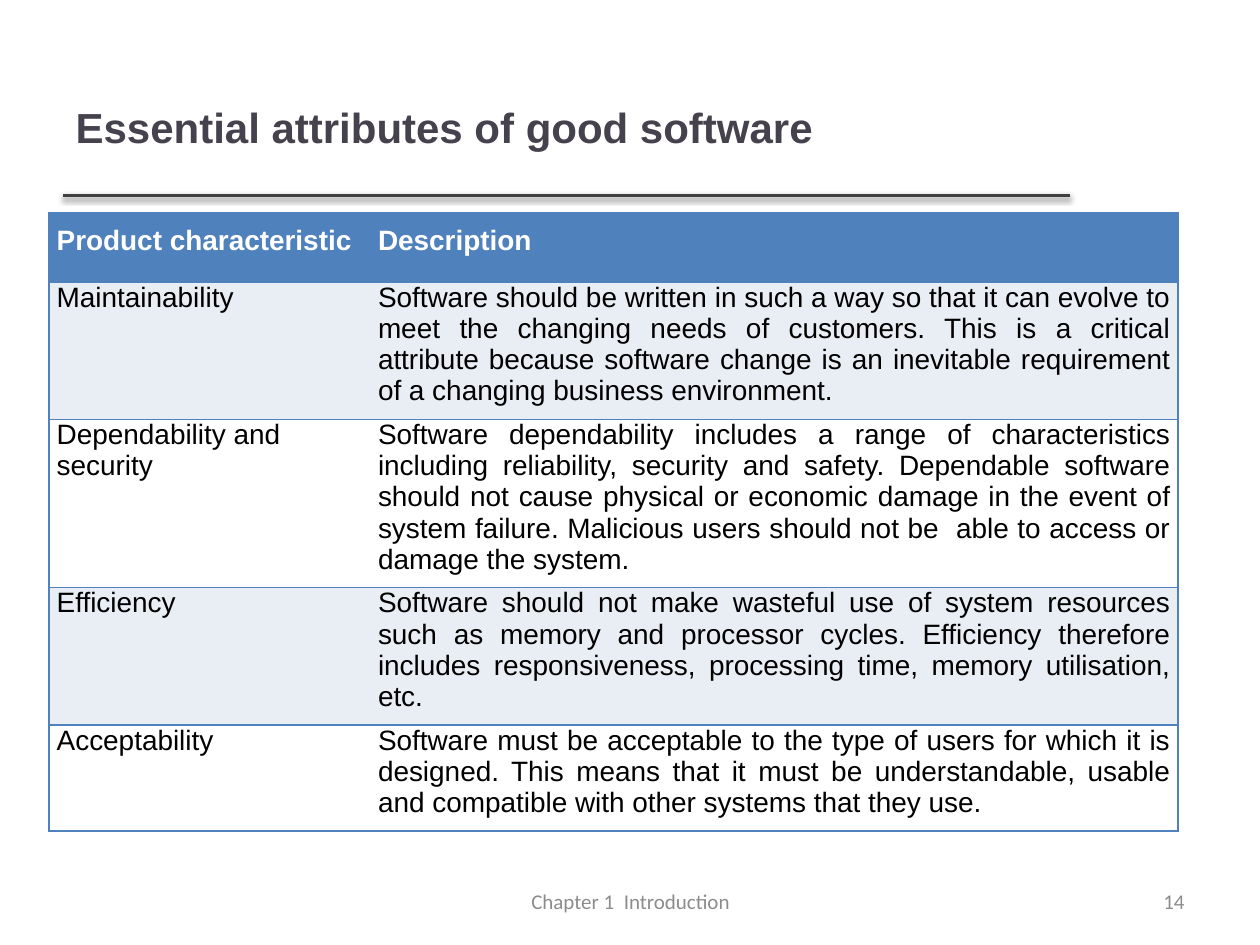
from pptx import Presentation
from pptx.dml.color import RGBColor
from pptx.enum.shapes import MSO_CONNECTOR
from pptx.enum.text import MSO_ANCHOR as Anchor, PP_ALIGN as Align
from pptx.oxml import parse_xml
from pptx.oxml.ns import nsdecls
from pptx.util import Inches, Pt

# Content
TITLE = "Essential attributes of good software"
FOOTER = "Chapter 1  Introduction"
PAGE_NUMBER = "14"
HEADER = ("Product characteristic", "Description")
ATTRIBUTES = [
    ("Maintainability",
     "Software should be written in such a way so that it can evolve to meet the "
     "changing needs of customers. This is a critical attribute because software "
     "change is an inevitable requirement of a changing business environment."),
    ("Dependability and security",
     "Software dependability includes a range of characteristics including "
     "reliability, security and safety. Dependable software should not cause "
     "physical or economic damage in the event of system failure. Malicious users "
     "should not be  able to access or damage the system."),
    ("Efficiency",
     "Software should not make wasteful use of system resources such as memory and "
     "processor cycles. Efficiency therefore includes responsiveness, processing "
     "time, memory utilisation, etc."),
    ("Acceptability",
     "Software must be acceptable to the type of users for which it is designed. "
     "This means that it must be understandable, usable and compatible with other "
     "systems that they use."),
]

# Theme and layout
THEME = {
    "title": {"name": "Arial", "size": Pt(24), "bold": True, "color": "46424D"},
    "header": {"name": "Arial", "size": Pt(16), "bold": True, "color": "FFFFFF"},
    "body": {"name": "Arial", "size": Pt(16), "bold": False, "color": "000000"},
    "footer": {"name": "Calibri", "size": Pt(12), "bold": False, "color": "8C8C8C"},
    "rule": "404040",
    "accent": "4F81BD",
    "bands": ("E9EDF4", "FFFFFF"),
}
TITLE_BOX = (0.5, 0.38, 7.98, 1.25)
RULE = (0.5, 1.55, 8.49, 1.55)
TABLE_LEFT, TABLE_TOP = 0.39, 1.69
COLUMN_WIDTHS = (2.55, 6.41)
ROW_HEIGHTS = (0.55, 1.09, 1.33, 1.09, 0.84)
FOOTER_BOXES = [
    (FOOTER, (3.42, 6.95, 3.17, 0.4), Align.CENTER),
    (PAGE_NUMBER, (7.17, 6.95, 2.33, 0.4), Align.RIGHT),
]


def inches(values):
    return [Inches(value) for value in values]


def write(text_frame, text, style, alignment):
    paragraph = text_frame.paragraphs[0]
    paragraph.text = text
    paragraph.alignment = alignment
    for name, value in THEME[style].items():
        if name == "color":
            paragraph.font.color.rgb = RGBColor.from_string(value)
        else:
            setattr(paragraph.font, name, value)


def set_borders(cell, hidden_side):
    properties = cell._tc.get_or_add_tcPr()
    for side in "LRTB":
        if side == hidden_side:
            paint = "<a:noFill/>"
        else:
            paint = f'<a:solidFill><a:srgbClr val="{THEME["accent"]}"/></a:solidFill>'
        properties.append(parse_xml(
            f'<a:ln{side} {nsdecls("a")} w="{Pt(1)}">{paint}</a:ln{side}>'))


presentation = Presentation()
presentation.slide_width, presentation.slide_height = Inches(10), Inches(7.5)
slide = presentation.slides.add_slide(presentation.slide_layouts[5])

# Title
title = slide.shapes.title
title.left, title.top, title.width, title.height = inches(TITLE_BOX)
title.text_frame.vertical_anchor = Anchor.MIDDLE
write(title.text_frame, TITLE, "title", Align.LEFT)

# Rule with a soft shadow
rule = slide.shapes.add_connector(MSO_CONNECTOR.STRAIGHT, *inches(RULE))
rule.line.color.rgb = RGBColor.from_string(THEME["rule"])
rule.line.width = Pt(2)
rule._element.spPr.append(parse_xml(
    f'<a:effectLst {nsdecls("a")}>'
    f'<a:outerShdw blurRad="{Pt(3.1)}" dist="{Pt(1.6)}" dir="5400000" rotWithShape="0">'
    '<a:srgbClr val="000000"><a:alpha val="38000"/></a:srgbClr>'
    '</a:outerShdw></a:effectLst>'))

# Attribute table
rows = [HEADER, *ATTRIBUTES]
table = slide.shapes.add_table(
    len(rows), len(HEADER),
    *inches((TABLE_LEFT, TABLE_TOP, sum(COLUMN_WIDTHS), sum(ROW_HEIGHTS)))).table
for column, width in zip(table.columns, COLUMN_WIDTHS):
    column.width = Inches(width)
for row, height in zip(table.rows, ROW_HEIGHTS):
    row.height = Inches(height)

for row_index, texts in enumerate(rows):
    is_header = row_index == 0
    fill = THEME["accent"] if is_header else THEME["bands"][(row_index - 1) % 2]
    for column_index, text in enumerate(texts):
        cell = table.cell(row_index, column_index)
        cell_format = {
            "margin_left": Inches(0.06), "margin_right": Inches(0.06),
            "margin_top": Inches(0.1 if is_header else 0),
            "margin_bottom": Inches(0.1), "vertical_anchor": Anchor.TOP,
        }
        for name, value in cell_format.items():
            setattr(cell, name, value)
        set_borders(cell, "R" if column_index == 0 else "L")
        cell.fill.solid()
        cell.fill.fore_color.rgb = RGBColor.from_string(fill)
        wraps = text == "Dependability and security"
        write(cell.text_frame, text, "header" if is_header else "body",
              Align.LEFT if wraps else Align.JUSTIFY)

# Footer and page number
for text, box, alignment in FOOTER_BOXES:
    text_frame = slide.shapes.add_textbox(*inches(box)).text_frame
    text_frame.word_wrap = True
    text_frame.vertical_anchor = Anchor.MIDDLE
    write(text_frame, text, "footer", alignment)

presentation.save("out.pptx")
